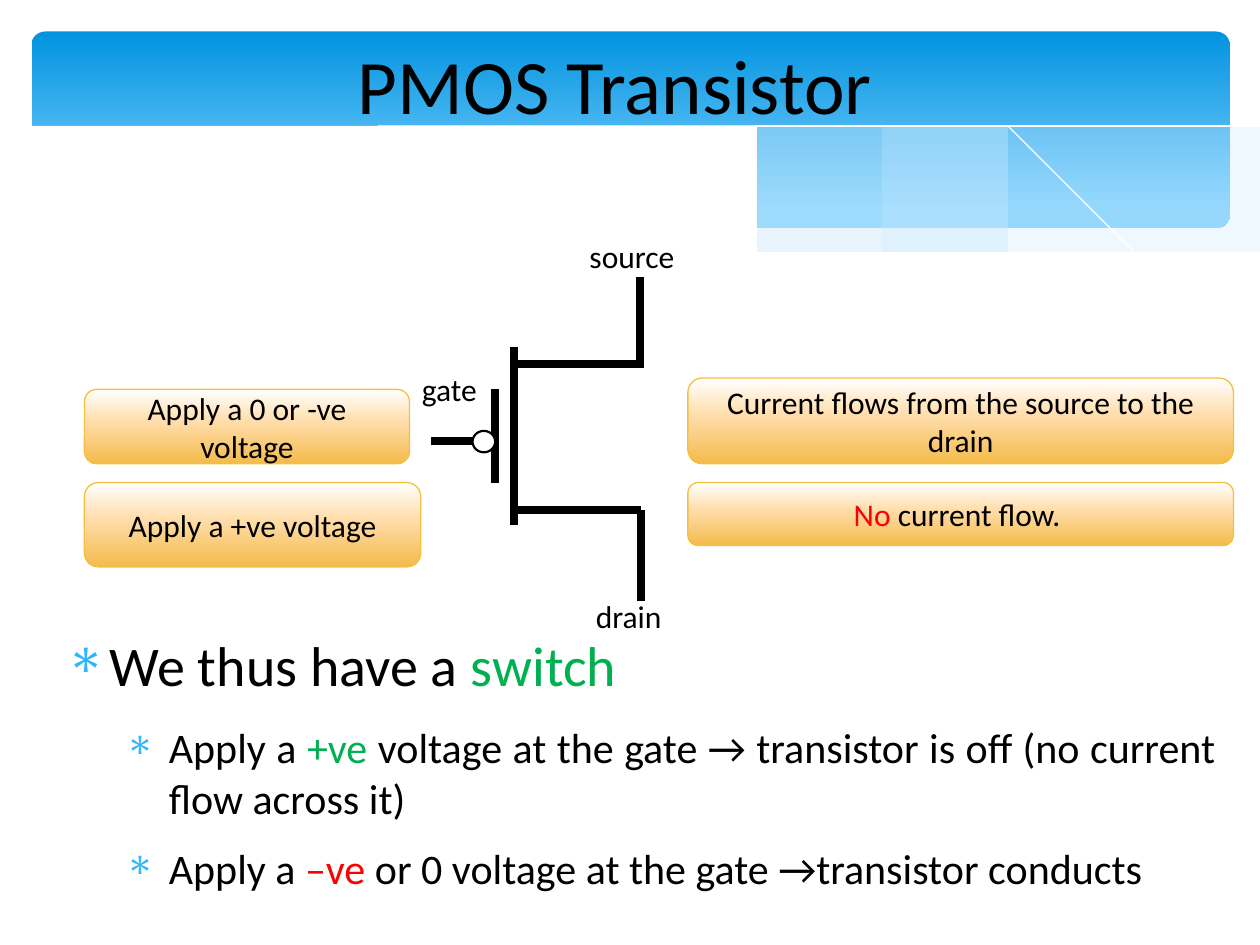
from lxml.etree import SubElement
from pptx import Presentation
from pptx.dml.color import RGBColor
from pptx.enum.shapes import MSO_CONNECTOR, MSO_SHAPE
from pptx.enum.text import MSO_ANCHOR, PP_ALIGN
from pptx.oxml.ns import qn
from pptx.util import Inches, Pt

BLACK = RGBColor(0x00, 0x00, 0x00)
WHITE = RGBColor(0xFF, 0xFF, 0xFF)
RED = RGBColor(0xFF, 0x00, 0x00)
GREEN = RGBColor(0x00, 0xB0, 0x50)
BULLET_BLUE = RGBColor(0x31, 0xB6, 0xFD)
BANNER_TOP = RGBColor(0x02, 0x93, 0xE0)
BANNER_BOTTOM = RGBColor(0x83, 0xD3, 0xFE)
RIBBON = RGBColor(0xC6, 0xE7, 0xFC)
PEACH = RGBColor(0xFF, 0xDD, 0xAA)
AMBER = RGBColor(0xF4, 0xBB, 0x4A)
AMBER_EDGE = RGBColor(0xF5, 0xC0, 0x40)
FONT = "Calibri"


def fill_gradient(shape, stops):
    """Fill a shape from top to bottom with (percent, colour) stops."""
    shape.fill.gradient()
    shape.fill.gradient_angle = 270
    stop_list = shape._element.spPr.find(qn("a:gradFill")).find(qn("a:gsLst"))
    for old in list(stop_list):
        stop_list.remove(old)
    for percent, color in stops:
        stop = SubElement(stop_list, qn("a:gs"), pos=str(percent * 1000))
        SubElement(stop, qn("a:srgbClr"), val=str(color))


def add_spans(para, spans, size):
    """Add (text, colour) runs to a paragraph."""
    for text, color in spans:
        span = para.add_run()
        span.text = text
        span.font.name = FONT
        span.font.size = Pt(size)
        span.font.color.rgb = color


def add_label(page, box, text, size=18, wrap=False, align=PP_ALIGN.LEFT):
    """Place one line of plain text in a text box."""
    frame = page.shapes.add_textbox(*map(Inches, box)).text_frame
    frame.word_wrap = wrap
    frame.paragraphs[0].alignment = align
    add_spans(frame.paragraphs[0], [(text, BLACK)], size)


def smooth(knots, steps=8):
    """Return points on a Catmull-Rom curve through the knots."""
    padded = [knots[0], *knots, knots[-1]]
    points = [knots[0]]
    for a, b, c, d in zip(padded, padded[1:], padded[2:], padded[3:]):
        for step in range(1, steps + 1):
            t = step / steps
            points.append(tuple(
                0.5 * (2 * q + (r - p) * t + (2 * p - 5 * q + 4 * r - s) * t ** 2
                       + (3 * q - p - 3 * r + s) * t ** 3)
                for p, q, r, s in zip(a, b, c, d)))
    return points


def add_curve(page, points, color=None, alpha=100, line=None):
    """Draw a closed filled outline, or an open hairline when line is given."""
    builder = page.shapes.build_freeform(*points[0], scale=Inches(1))
    builder.add_line_segments(points[1:], close=line is None)
    shape = builder.convert_to_shape()
    shape.shadow.inherit = False
    if line is not None:
        shape.fill.background()
        shape.line.color.rgb = line
        shape.line.width = Pt(0)
        return
    shape.line.fill.background()
    shape.fill.solid()
    shape.fill.fore_color.rgb = color
    tint = shape._element.spPr.find(qn("a:solidFill"))[0]
    SubElement(tint, qn("a:alpha"), val=str(alpha * 1000))


def add_banner(page, box):
    """Draw the blue banner with its waves within the box."""
    left, top, width, height = box
    banner = page.shapes.add_shape(MSO_SHAPE.ROUNDED_RECTANGLE, *map(Inches, box))
    banner.adjustments[0] = 0.07
    banner.shadow.inherit = False
    banner.line.fill.background()
    fill_gradient(banner, [(0, BANNER_TOP), (90, BANNER_BOTTOM)])

    def place(knots):
        return smooth([(left + x, top + y) for x, y in knots])

    right_ribbon = place([(9.51, 0.69), (8.96, 0.79), (8.36, 0.93), (7.54, 1.12),
                          (6.81, 1.27), (6.36, 1.35)])
    right_ribbon += place([(6.36, 1.35), (6.94, 1.42), (7.44, 1.46), (7.89, 1.47),
                           (8.38, 1.45), (8.8, 1.38), (9.17, 1.29), (9.51, 1.16)])
    add_curve(page, right_ribbon, RIBBON, 29)

    long_ribbon = place([(8.68, 1.42), (7.82, 1.29), (6.81, 1.09), (6.04, 0.91),
                         (5.16, 0.72), (4.4, 0.61), (3.55, 0.55), (3.03, 0.56),
                         (2.61, 0.61)])
    long_ribbon += place([(2.61, 0.61), (3.17, 0.69), (3.79, 0.81), (4.66, 1.01),
                          (5.59, 1.21), (6.4, 1.36), (7.11, 1.43), (7.71, 1.47),
                          (8.23, 1.47), (8.68, 1.42)])
    add_curve(page, long_ribbon, RIBBON, 40)

    add_curve(page, place([(2.84, 0.65), (3.28, 0.59), (3.91, 0.56), (4.64, 0.59),
                           (5.57, 0.69), (6.4, 0.83), (7.35, 1.03), (8.06, 1.2),
                           (8.82, 1.41)]), line=WHITE)
    add_curve(page, place([(5.88, 1.26), (6.7, 1.05), (7.51, 0.86), (8.41, 0.68),
                           (8.99, 0.59), (9.5, 0.55)]), line=WHITE)

    wave = place([(9.52, 1.16), (9.05, 1.32), (8.5, 1.42), (7.84, 1.46), (7.19, 1.43),
                  (6.43, 1.35), (5.54, 1.19), (4.78, 1.03), (3.93, 0.82), (3.15, 0.67),
                  (2.46, 0.57), (1.68, 0.53), (1.07, 0.56), (0.6, 0.62), (0.27, 0.71),
                  (-0.02, 0.82)])
    floor = top + height + 0.43
    add_curve(page, wave + [(left - 0.02, floor), (left + width + 0.01, floor)], WHITE)


def add_callout(page, box, spans):
    """Place an amber rounded box with centred text."""
    shape = page.shapes.add_shape(MSO_SHAPE.ROUNDED_RECTANGLE, *map(Inches, box))
    shape.shadow.inherit = False
    fill_gradient(shape, [(0, WHITE), (44, PEACH), (100, AMBER)])
    shape.line.color.rgb = AMBER_EDGE
    shape.line.width = Pt(0.75)
    frame = shape.text_frame
    frame.word_wrap = True
    frame.vertical_anchor = MSO_ANCHOR.MIDDLE
    frame.paragraphs[0].alignment = PP_ALIGN.CENTER
    add_spans(frame.paragraphs[0], spans, 18)


def add_transistor(page, left, top):
    """Draw the PMOS symbol and its terminal labels from its top left corner."""
    gate, channel, terminal = 0.68, 0.83, 1.84
    wires = [(0.17, 1.67, gate, 1.67), (gate, 1.26, gate, 2),
             (channel, 0.92, channel, 2.34), (channel, 1.06, terminal, 1.06),
             (channel, 2.22, terminal, 2.22), (terminal, 2.22, terminal, 2.94),
             (terminal - 0.01, 0.37, terminal - 0.01, 1.09)]
    for x1, y1, x2, y2 in wires:
        ends = map(Inches, (left + x1, top + y1, left + x2, top + y2))
        wire = page.shapes.add_connector(MSO_CONNECTOR.STRAIGHT, *ends)
        wire.line.color.rgb = BLACK
        wire.line.width = Pt(4.5)
        SubElement(wire._element.spPr, qn("a:effectLst"))
    bubble_box = (left + 0.5, top + 1.59, 0.18, 0.17)
    bubble = page.shapes.add_shape(MSO_SHAPE.OVAL, *map(Inches, bubble_box))
    bubble.shadow.inherit = False
    bubble.fill.solid()
    bubble.fill.fore_color.rgb = WHITE
    bubble.line.color.rgb = BLACK
    bubble.line.width = Pt(1.25)
    for text, x, y, width in [("source", 1.33, 0, 0.92), ("drain", 1.38, 2.86, 0.75),
                              ("gate", 0, 1.06, 0.68)]:
        add_label(page, (left + x, top + y, width, 0.4), text)


def add_summary(page, box):
    """Write the bulleted conclusions in the box."""
    frame = page.shapes.add_textbox(*map(Inches, box)).text_frame
    frame.word_wrap = True
    frame.margin_left = frame.margin_right = frame.margin_top = frame.margin_bottom = 0
    points = [
        (0, [("We thus have a ", BLACK), ("switch", GREEN)]),
        (1, [("Apply a ", BLACK), ("+ve ", GREEN),
             ("voltage at the gate → transistor is off (no current flow across it)", BLACK)]),
        (1, [("Apply a ", BLACK), ("–ve ", RED),
             ("or 0 voltage at the gate →transistor conducts", BLACK)]),
    ]
    for index, (level, spans) in enumerate(points):
        para = frame.add_paragraph() if index else frame.paragraphs[0]
        para.level = level
        para.alignment = PP_ALIGN.JUSTIFY
        para.space_after = Pt((14.1, 11.3)[level])
        props = para._p.get_or_add_pPr()
        props.set("marL", str(Inches(0.47 * (level + 1))))
        props.set("indent", str(Inches(-0.35)))
        tint = SubElement(props, qn("a:buClr"))
        SubElement(tint, qn("a:srgbClr"), val=str(BULLET_BLUE))
        SubElement(props, qn("a:buChar"), char="∗")
        add_spans(para, spans, (32, 24)[level])


def main():
    """Build and save the slide."""
    deck = Presentation()
    deck.slide_width, deck.slide_height = Inches(10), Inches(7.5)
    page = deck.slides.add_slide(deck.slide_layouts[6])
    add_banner(page, (0.25, 0.25, 9.51, 1.56))
    add_label(page, (0.17, 0.25, 9.42, 0.84), "PMOS Transistor", 44, True, PP_ALIGN.CENTER)
    add_callout(page, (0.67, 3.09, 2.58, 0.59), [("Apply a 0 or -ve voltage", BLACK)])
    add_callout(page, (5.46, 3, 4.33, 0.68),
                [("Current flows from the source to the drain", BLACK)])
    add_callout(page, (0.67, 3.83, 2.67, 0.67), [("Apply a +ve voltage", BLACK)])
    add_callout(page, (5.46, 3.83, 4.33, 0.5), [("No", RED), (" current flow. ", BLACK)])
    add_summary(page, (0.4, 5, 9.25, 2.28))
    add_transistor(page, 3.25, 1.83)
    deck.save("out.pptx")


if __name__ == "__main__":
    main()
